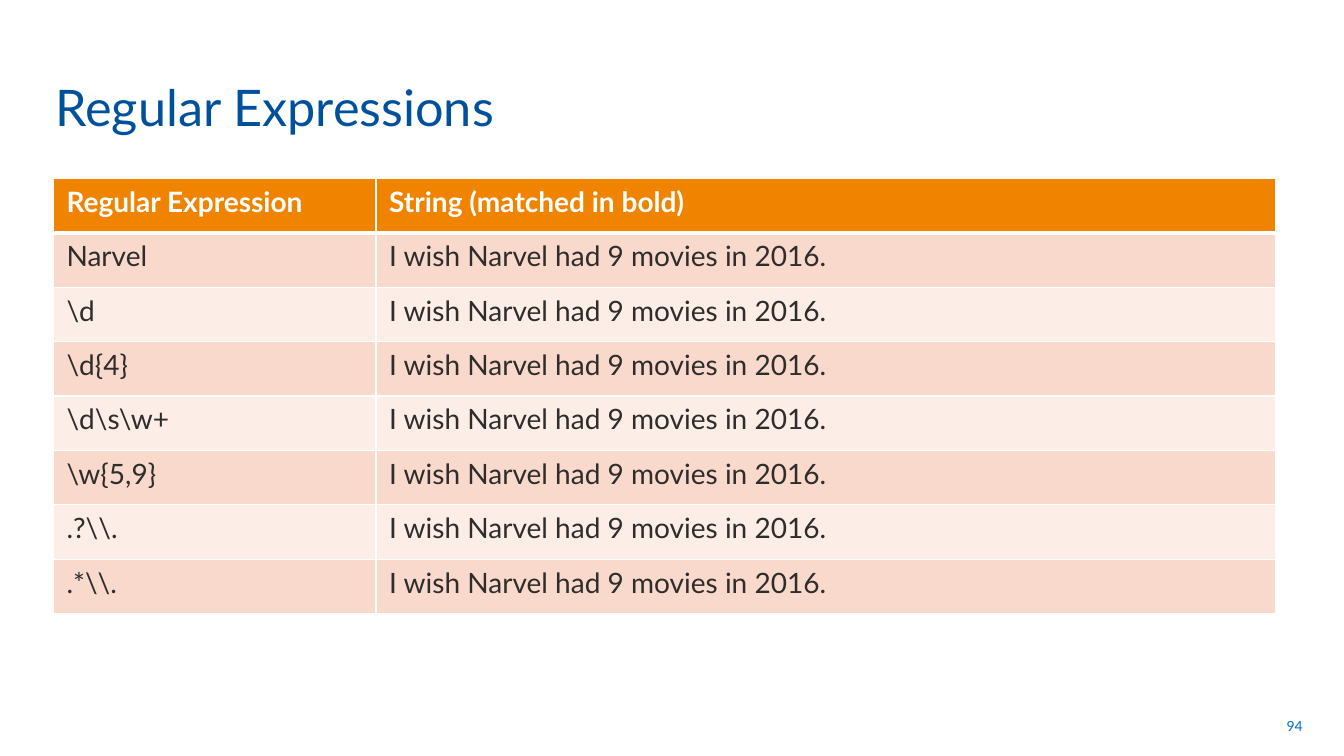
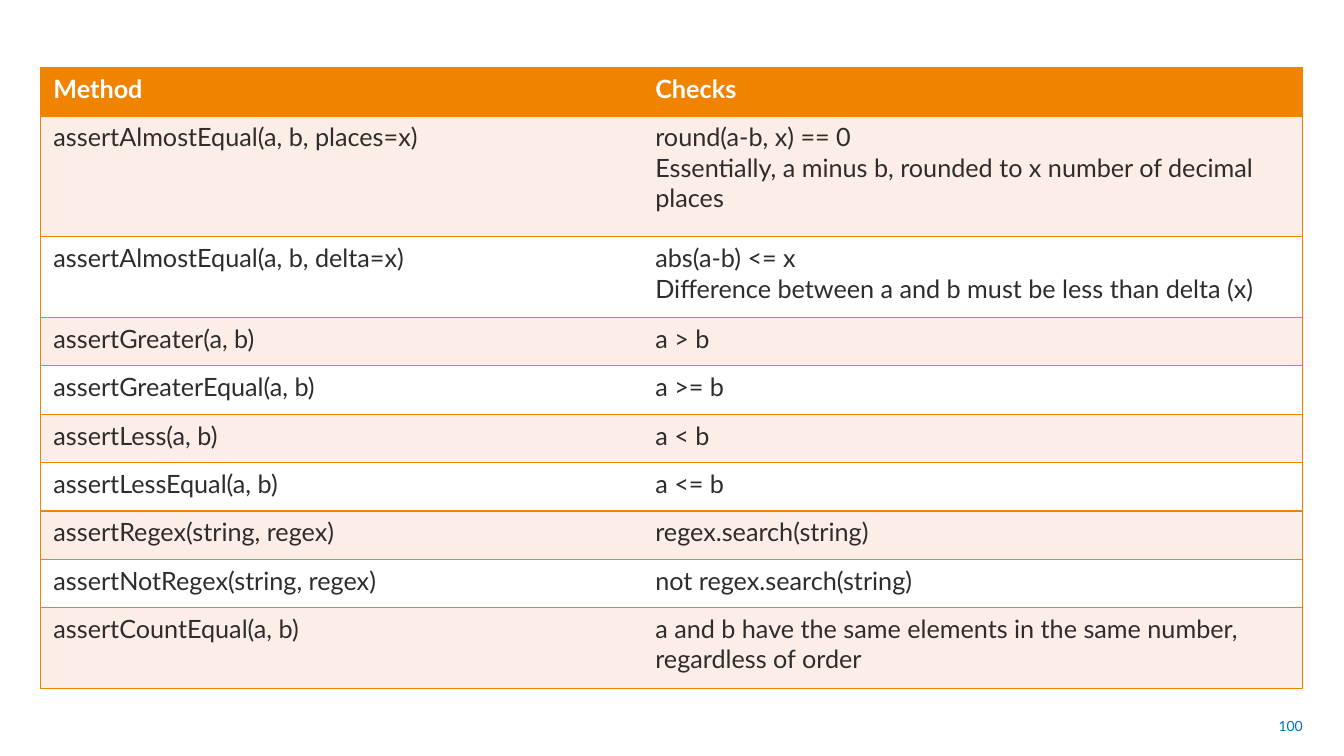
from dataclasses import dataclass

from lxml import etree
from pptx import Presentation
from pptx.dml.color import RGBColor
from pptx.enum.text import MSO_ANCHOR, PP_ALIGN
from pptx.oxml.ns import qn
from pptx.slide import Slide
from pptx.table import _Cell
from pptx.util import Inches, Pt

WHITE = RGBColor(0xFF, 0xFF, 0xFF)
INK = RGBColor(0x2E, 0x2D, 0x2C)
ORANGE = RGBColor(0xF0, 0x83, 0x00)
PEACH = RGBColor(0xF9, 0xD9, 0xCC)
PALE_PEACH = RGBColor(0xFC, 0xED, 0xE7)
TITLE_BLUE = RGBColor(0x00, 0x51, 0x9C)
NUMBER_BLUE = RGBColor(0x00, 0x70, 0xC0)

FONT = "Lato"
LEFT, RIGHT = PP_ALIGN.LEFT, PP_ALIGN.RIGHT
MIDDLE, BOTTOM = MSO_ANCHOR.MIDDLE, MSO_ANCHOR.BOTTOM
BLANK_LAYOUT = 6


@dataclass(frozen=True)
class TextStyle:
    size: float
    color: RGBColor
    bold: bool = False
    align: PP_ALIGN = LEFT
    anchor: MSO_ANCHOR = MIDDLE


@dataclass(frozen=True)
class TableSpec:
    left: float
    top: float
    columns: tuple[float, ...]
    row_heights: tuple[float, ...]
    rows: tuple[tuple[str, ...], ...]
    text_size: float
    bands: tuple[RGBColor, RGBColor]
    border: RGBColor
    header_rule: float = 1
    inner_verticals: bool = True


TITLE = TextStyle(36, TITLE_BLUE, anchor=BOTTOM)
PAGE_NUMBER = TextStyle(10, NUMBER_BLUE, align=RIGHT)

SENTENCE = "I wish Narvel had 9 movies in 2016."
PATTERNS = ("Narvel", r"\d", r"\d{4}", r"\d\s\w+", r"\w{5,9}", r".?\\.", r".*\\.")

REGEX_TABLE = TableSpec(
    left=0.53,
    top=1.77,
    columns=(3.2, 8.92),
    row_heights=(0.54,) * (len(PATTERNS) + 1),
    rows=(
        ("Regular Expression", "String (matched in bold)"),
        *((pattern, SENTENCE) for pattern in PATTERNS),
    ),
    text_size=20,
    bands=(PEACH, PALE_PEACH),
    border=WHITE,
    header_rule=3,
)

ASSERT_TABLE = TableSpec(
    left=0.4,
    top=0.67,
    columns=(5.97, 6.55),
    row_heights=(0.48, 1.2, 0.8, *(0.48,) * 6, 0.8),
    rows=(
        ("Method", "Checks"),
        (
            "assertAlmostEqual(a, b, places=x)",
            "round(a-b, x) == 0\n"
            "Essentially, a minus b, rounded to x number of decimal places",
        ),
        (
            "assertAlmostEqual(a, b, delta=x)",
            "abs(a-b) <= x\nDifference between a and b must be less than delta (x)",
        ),
        ("assertGreater(a, b)", "a > b"),
        ("assertGreaterEqual(a, b)", "a >= b"),
        ("assertLess(a, b)", "a < b"),
        ("assertLessEqual(a, b)", "a <= b"),
        ("assertRegex(string, regex)", "regex.search(string)"),
        ("assertNotRegex(string, regex)", "not regex.search(string)"),
        (
            "assertCountEqual(a, b)",
            "a and b have the same elements in the same number, regardless of order",
        ),
    ),
    text_size=18,
    bands=(PALE_PEACH, WHITE),
    border=ORANGE,
    inner_verticals=False,
)


def write(text_frame, text: str, style: TextStyle) -> None:
    text_frame.text = text
    for paragraph in text_frame.paragraphs:
        paragraph.alignment = style.align
        for run in paragraph.runs:
            run.font.name = FONT
            run.font.size = Pt(style.size)
            run.font.bold = style.bold
            run.font.color.rgb = style.color


def add_text(slide: Slide, text: str, style: TextStyle,
             left: float, top: float, width: float, height: float) -> None:
    box = slide.shapes.add_textbox(*map(Inches, (left, top, width, height)))
    box.text_frame.word_wrap = True
    box.text_frame.vertical_anchor = style.anchor
    write(box.text_frame, text, style)


def add_border(cell: _Cell, side: str, color: RGBColor, width: float) -> None:
    """Draw one cell edge (L, R, T or B); a width of 0 hides it."""
    properties = cell._tc.get_or_add_tcPr()
    line = etree.SubElement(properties, qn(f"a:ln{side}"), w=str(Pt(width)))
    if width:
        fill = etree.SubElement(line, qn("a:solidFill"))
        etree.SubElement(fill, qn("a:srgbClr"), val=str(color))
    else:
        etree.SubElement(line, qn("a:noFill"))


def format_cell(cell: _Cell, spec: TableSpec, row: int, column: int) -> None:
    inner = 1 if spec.inner_verticals else 0
    widths = {
        "L": 1 if column == 0 else inner,
        "R": 1 if column == len(spec.columns) - 1 else inner,
        "T": spec.header_rule if row == 1 else 1,
        "B": spec.header_rule if row == 0 else 1,
    }
    for side, width in widths.items():
        add_border(cell, side, spec.border, width)

    is_header = row == 0
    cell.fill.solid()
    cell.fill.fore_color.rgb = ORANGE if is_header else spec.bands[(row - 1) % 2]
    cell.margin_left = cell.margin_right = Inches(0.13)
    cell.margin_top = cell.margin_bottom = Inches(0.06)
    style = TextStyle(spec.text_size, WHITE if is_header else INK, bold=is_header)
    write(cell.text_frame, spec.rows[row][column], style)


def add_banded_table(slide: Slide, spec: TableSpec) -> None:
    frame = slide.shapes.add_table(
        len(spec.rows), len(spec.columns),
        Inches(spec.left), Inches(spec.top),
        Inches(sum(spec.columns)), Inches(sum(spec.row_heights)),
    )
    table = frame.table
    for column, width in zip(table.columns, spec.columns):
        column.width = Inches(width)
    for row, height in zip(table.rows, spec.row_heights):
        row.height = Inches(height)
    for row in range(len(spec.rows)):
        for column in range(len(spec.columns)):
            format_cell(table.cell(row, column), spec, row, column)


def add_table_slide(deck, number: int, spec: TableSpec, title: str = "") -> None:
    slide = deck.slides.add_slide(deck.slide_layouts[BLANK_LAYOUT])
    add_text(slide, str(number), PAGE_NUMBER, 9.91, 7, 3.11, 0.4)
    if title:
        add_text(slide, title, TITLE, 0.45, 0.14, 9.98, 1.26)
    add_banded_table(slide, spec)


def main() -> None:
    deck = Presentation()
    deck.slide_width, deck.slide_height = Inches(13.33), Inches(7.5)
    add_table_slide(deck, 94, REGEX_TABLE, "Regular Expressions")
    add_table_slide(deck, 100, ASSERT_TABLE)
    deck.save("out.pptx")


if __name__ == "__main__":
    main()
